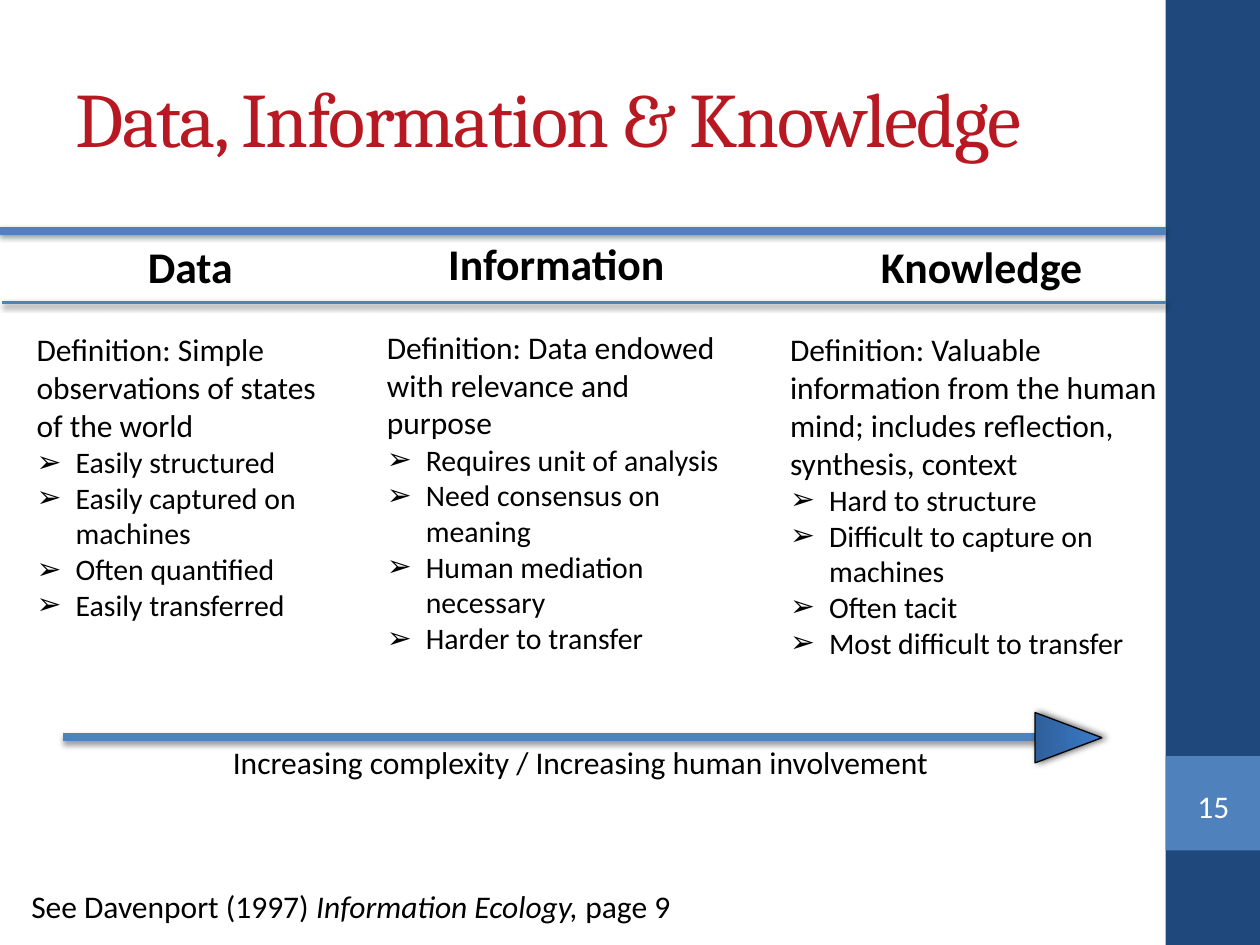
from pptx import Presentation
from pptx.dml.color import RGBColor
from pptx.enum.shapes import MSO_CONNECTOR, MSO_SHAPE
from pptx.enum.text import MSO_ANCHOR, MSO_AUTO_SIZE, PP_ALIGN
from pptx.oxml import parse_xml
from pptx.oxml.ns import nsdecls
from pptx.util import Inches, Pt

RECT, TRI = MSO_SHAPE.RECTANGLE, MSO_SHAPE.ISOSCELES_TRIANGLE
LINE = MSO_CONNECTOR.STRAIGHT
TOP, MID = MSO_ANCHOR.TOP, MSO_ANCHOR.MIDDLE
LEFT, MIDST = PP_ALIGN.LEFT, PP_ALIGN.CENTER
FIXED = MSO_AUTO_SIZE.NONE
NS = nsdecls("a")
color = RGBColor.from_string


def write(par, text, size, hue="000000", **fmt):
    run = par.add_run()
    run.text = text
    look = {"name": "Calibri", "size": Pt(size), "bold": False, **fmt}
    for key, val in look.items():
        setattr(run.font, key, val)
    run.font.color.rgb = color(hue)
    return run


def shade(item, alpha, blur, dist, angle):
    item.element.spPr.append(parse_xml(
        f'<a:effectLst {NS}><a:outerShdw blurRad="{Pt(blur)}" dist="{Pt(dist)}" '
        f'dir="{angle * 60000}" rotWithShape="0"><a:srgbClr val="000000">'
        f'<a:alpha val="{alpha * 1000}"/></a:srgbClr></a:outerShdw></a:effectLst>'))


deck = Presentation()
deck.slide_width, deck.slide_height = Inches(10), Inches(7.5)
slide = deck.slides.add_slide(deck.slide_layouts[4])
shapes = slide.shapes
title, *bodies, spare = slide.placeholders
spare.element.getparent().remove(spare.element)

for y, high, hue in [(0, 7.5, "1F497D"), (6, 0.75, "4F81BD")]:
    band = shapes.add_shape(RECT, Inches(9.25), Inches(y), Inches(0.75), Inches(high))
    band.shadow.inherit = False
    band.fill.solid()
    band.fill.fore_color.rgb = color(hue)
    band.line.fill.background()

title.left, title.top = Inches(0.5), Inches(0.3)
title.width, title.height = Inches(8.33), Inches(1.25)
frame = title.text_frame
frame.auto_size, frame.vertical_anchor = FIXED, MID
frame.paragraphs[0].alignment = LEFT
run = write(frame.paragraphs[0], "Data, Information & Knowledge", 44, "B81821", name="Cambria")
run._r.get_or_add_rPr().set("spc", "-100")

columns = [
    (0.19, 1.85, 2.64, 3.14, "Data",
     "Definition: Simple observations of states of the world",
     ["Easily structured", "Easily captured on machines", "Often quantified",
      "Easily transferred"]),
    (2.97, 1.83, 2.89, 3.42, "Information",
     "Definition: Data endowed with relevance and purpose",
     ["Requires unit of analysis", "Need consensus on meaning",
      "Human mediation necessary", "Harder to transfer"]),
    (6.17, 1.85, 3.24, 3.44, "Knowledge",
     "Definition: Valuable information from the human mind; "
     "includes reflection, synthesis, context",
     ["Hard to structure", "Difficult to capture on machines", "Often tacit",
      "Most difficult to transfer"]),
]
for body, (x, y, wide, high, head, gist, points) in zip(bodies, columns):
    body.left, body.top = Inches(x), Inches(y)
    body.width, body.height = Inches(wide), Inches(high)
    frame = body.text_frame
    frame.auto_size, frame.vertical_anchor = FIXED, TOP
    for i, text in enumerate([head, gist, *points]):
        par = frame.paragraphs[0] if i == 0 else frame.add_paragraph()
        props = par._p.get_or_add_pPr()
        dent = Inches(0.31) if i > 1 else 0
        props.set("marL", str(dent))
        props.set("indent", str(-dent))
        if i > 1:
            props.append(parse_xml(f'<a:buClr {NS}><a:srgbClr val="000000"/></a:buClr>'))
            props.append(parse_xml(f'<a:buChar {NS} char="➢"/>'))
        else:
            props.append(parse_xml(f'<a:buNone {NS}/>'))
        par.alignment = LEFT if i else MIDST
        par.space_before = Pt(22 if i == 1 else 0)
        write(par, text, (25, 18)[i] if i < 2 else 17, bold=i == 0)

for x, end, y, thick in [(0, 9.25, 1.83, 4.5), (0.02, 9.25, 2.4, 2), (0.5, 8.54, 5.85, 4.5)]:
    rule = shapes.add_connector(LINE, Inches(x), Inches(y), Inches(end), Inches(y))
    rule.line.color.rgb = color("4F81BD")
    rule.line.width = Pt(thick)
    shade(rule, 38, 3.1, 1.6, 90)
rule.line._ln.append(parse_xml(f'<a:tailEnd {NS} type="triangle"/>'))

tip = shapes.add_shape(TRI, Inches(8.28), Inches(5.59), Inches(0.4), Inches(0.53))
tip.rotation = 90
tip.fill.gradient()
tip.fill.gradient_angle = 90
for stop, hue in zip(tip.fill.gradient_stops, ["2F5F99", "3A7CCB"]):
    stop.color.rgb = color(hue)
tip.line.color.rgb = color("020202")
tip.line.width = Pt(0.75)
shade(tip, 60, 4, 2, 0)

notes = [
    (0.15, 6.99, 5.5, [("See Davenport (1997) ", False),
                       ("Information Ecology, ", True), ("page 9", False)]),
    (1.75, 5.85, 5.9, [("Increasing complexity / Increasing human involvement", False)]),
]
for x, y, wide, parts in notes:
    box = shapes.add_textbox(Inches(x), Inches(y), Inches(wide), Inches(0.4))
    box.text_frame.word_wrap = True
    for text, slant in parts:
        write(box.text_frame.paragraphs[0], text, 18, italic=slant)

page = shapes.add_textbox(Inches(9.33), Inches(6.18), Inches(0.6), Inches(0.43))
frame = page.text_frame
for side in ["left", "right", "top", "bottom"]:
    setattr(frame, f"margin_{side}", 0)
frame.word_wrap, frame.vertical_anchor = True, MID
frame.paragraphs[0].alignment = MIDST
write(frame.paragraphs[0], "15", 18, "FFFFFF")

deck.save("out.pptx")
